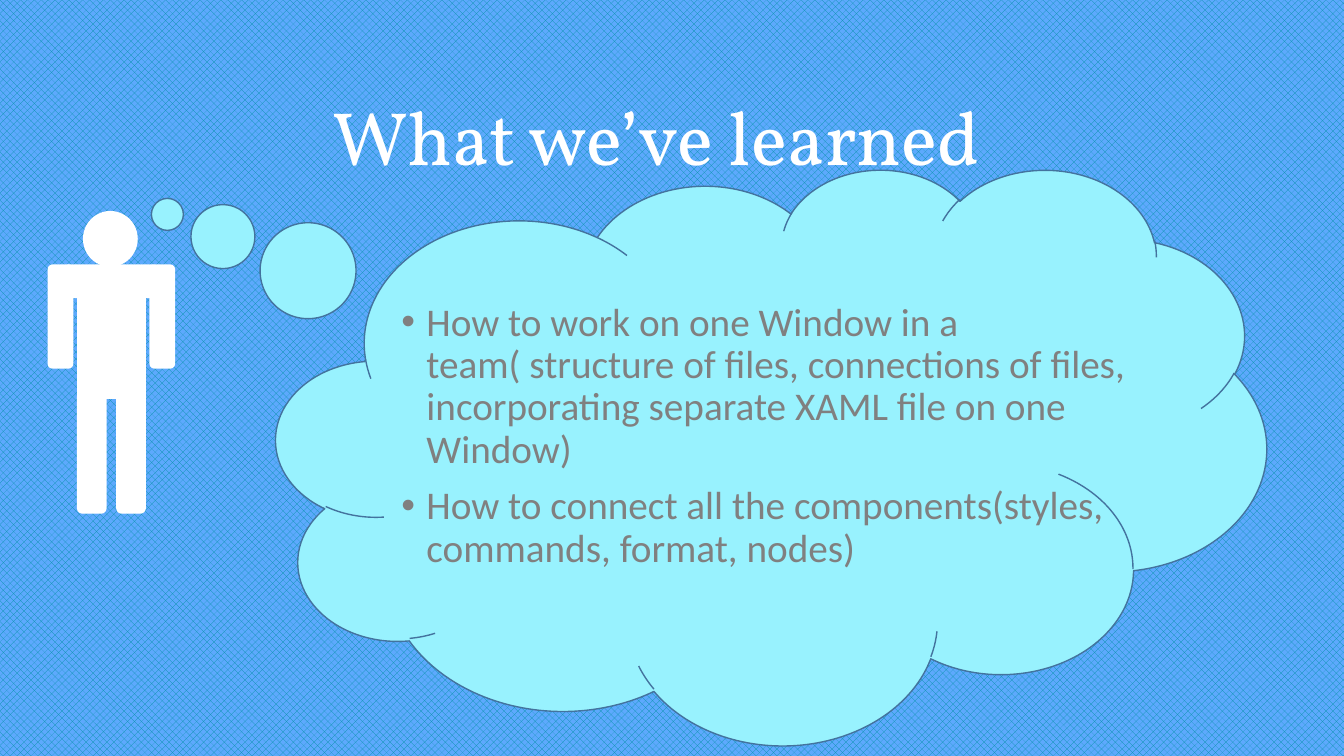
import dataclasses

import lxml.etree
import pptx
import pptx.dml.color
import pptx.enum.dml
import pptx.enum.shapes
import pptx.enum.text
import pptx.oxml.ns
import pptx.util

Inches = pptx.util.Inches
Pt = pptx.util.Pt
RGB = pptx.dml.color.RGBColor.from_string
SHAPE = pptx.enum.shapes.MSO_SHAPE
ANCHOR = pptx.enum.text.MSO_ANCHOR
qn = pptx.oxml.ns.qn


@dataclasses.dataclass(frozen=True)
class Theme:
    sky: str = "5DA9FD"
    sky_weave: str = "0292A6"
    cloud: str = "98F2FE"
    cloud_edge: str = "43739E"
    white: str = "FFFFFF"
    grey: str = "808080"
    shadow: str = "000000"
    title_font: str = "Vollkorn"
    body_font: str = "Calibri"
    title_size: int = 54
    body_size: int = 28
    line_width: int = 1


class SlideBuilder:
    def __init__(self, prs, theme):
        self.theme = theme
        self.s = prs.slides.add_slide(prs.slide_layouts[1])

    def background(self):
        fill = self.s.background.fill
        fill.patterned()
        fill.pattern = pptx.enum.dml.MSO_PATTERN.PERCENT_50
        fill.fore_color.rgb = RGB(self.theme.sky_weave)
        fill.back_color.rgb = RGB(self.theme.sky)

    def shape(self, kind, box, fill, line, adjustments=()):
        sp = self.s.shapes.add_shape(kind, *map(Inches, box))
        sp.shadow.inherit = False
        sp.fill.solid()
        sp.fill.fore_color.rgb = RGB(fill)
        sp.line.color.rgb = RGB(line)
        sp.line.width = Pt(self.theme.line_width)
        for i, value in enumerate(adjustments):
            sp.adjustments[i] = value
        return sp

    def place(self, sp, box, anchor):
        """Move a placeholder and return its text frame."""
        sp.left, sp.top, sp.width, sp.height = map(Inches, box)
        tf = sp.text_frame
        tf.word_wrap = True
        tf.auto_size = pptx.enum.text.MSO_AUTO_SIZE.NONE
        tf.vertical_anchor = anchor
        return tf

    def run(self, p, text, font, size, color):
        r = p.add_run()
        r.text = text
        r.font.name = font
        r.font.size = Pt(size)
        r.font.color.rgb = RGB(color)
        return r

    def title(self, text, box):
        t = self.theme
        tf = self.place(self.s.shapes.title, box, ANCHOR.BOTTOM)
        tf.margin_right = Inches(0.42)
        p = tf.paragraphs[0]
        p.alignment = pptx.enum.text.PP_ALIGN.CENTER
        p.line_spacing = 0.9
        r = self.run(p, text, t.title_font, t.title_size, t.white)
        self.text_shadow(r)

    def text_shadow(self, r):
        effects = lxml.etree.Element(qn("a:effectLst"))
        shadow = lxml.etree.SubElement(
            effects, qn("a:outerShdw"),
            blurRad="50800", dist="50800", dir="7500000", algn="tl",
        )
        lxml.etree.SubElement(shadow, qn("a:srgbClr"), val=self.theme.shadow)
        r._r.rPr.find(qn("a:solidFill")).addnext(effects)

    def bullets(self, items, box):
        t = self.theme
        tf = self.place(self.s.placeholders[1], box, ANCHOR.TOP)
        for i, item in enumerate(items):
            p = tf.add_paragraph() if i else tf.paragraphs[0]
            p.line_spacing = 0.9
            p.space_before = Pt(10)
            self.bullet(p)
            self.run(p, item, t.body_font, t.body_size, t.grey)

    def bullet(self, p, indent=0.25):
        pPr = p._p.get_or_add_pPr()
        pPr.set("marL", str(Inches(indent)))
        pPr.set("indent", str(Inches(-indent)))
        lxml.etree.SubElement(pPr, qn("a:buFont"), typeface="Arial")
        lxml.etree.SubElement(pPr, qn("a:buChar"), char="•")

    def person(self):
        white = self.theme.white
        arm, leg = (0.24, 1.02), (0.28, 1.2)
        parts = [
            (SHAPE.OVAL, (0.83, 2.1, 0.53, 0.54)),
            (SHAPE.ROUND_2_SAME_RECTANGLE, (0.63, 2.63, 0.94, 0.32)),
            *((SHAPE.ROUNDED_RECTANGLE, (x, 2.63, *arm)) for x in (0.48, 1.49)),
            (SHAPE.RECTANGLE, (0.77, 2.95, 0.67, 1)),
            *((SHAPE.ROUNDED_RECTANGLE, (x, 3.89, *leg)) for x in (0.77, 1.16)),
        ]
        for kind, box in parts:
            self.shape(kind, box, white, white)

    def thought_cloud(self, box, tail):
        t = self.theme
        self.shape(SHAPE.CLOUD_CALLOUT, box, t.cloud, t.cloud_edge, tail)

    def bring_to_front(self, sp):
        self.s.shapes._spTree.append(sp._element)


def main():
    prs = pptx.Presentation()
    prs.slide_width, prs.slide_height = Inches(13.33), Inches(7.5)
    b = SlideBuilder(prs, Theme())
    b.background()
    b.title("What we’ve learned", (0.92, 0.4, 11.5, 1.45))
    b.thought_cloud((2.74, 1.67, 9.82, 5.71), tail=(-0.61, -0.42))
    b.person()
    b.bullets(
        [
            "How to work on one Window in a team( structure of files, connections "
            "of files, incorporating separate XAML file on one Window)",
            "How to connect all the components(styles, commands, format, nodes)",
        ],
        (3.88, 2.95, 7.81, 2.91),
    )
    b.bring_to_front(b.s.placeholders[1])
    prs.save("out.pptx")


if __name__ == "__main__":
    main()
